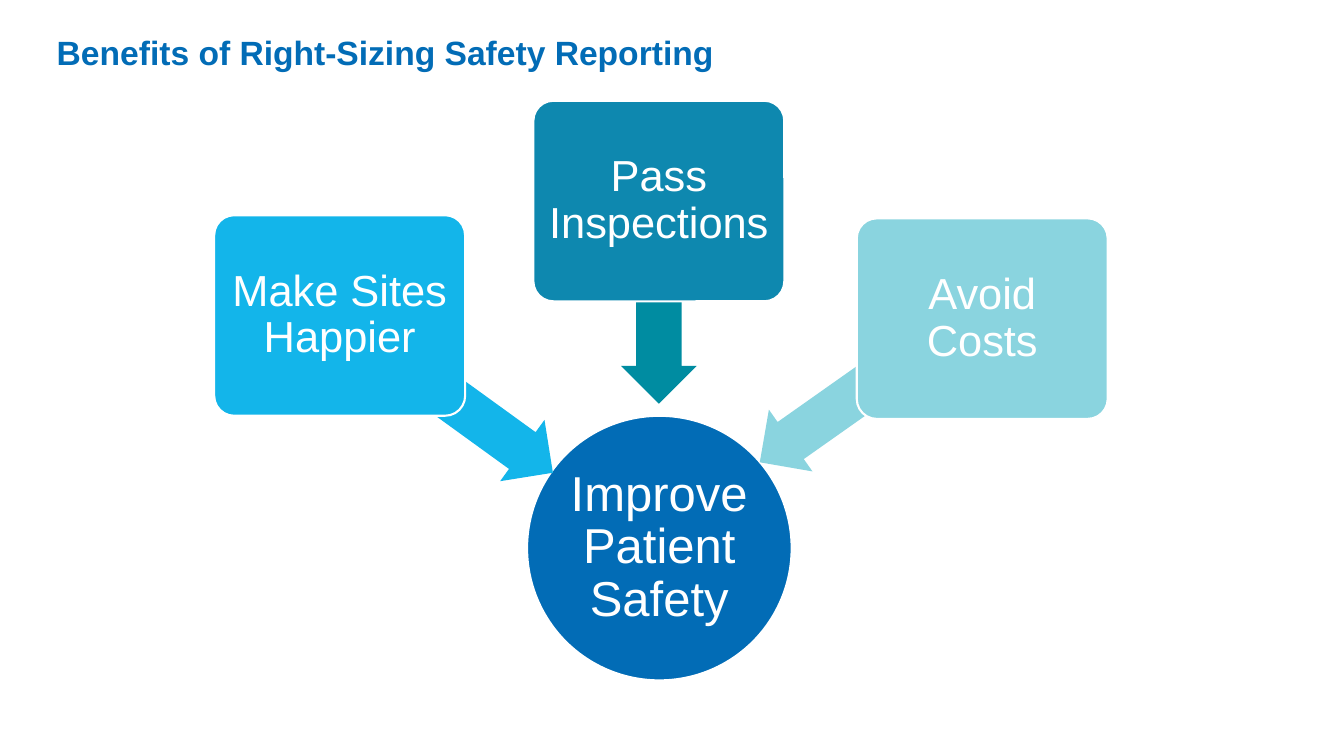
from pptx import Presentation
from pptx.dml.color import RGBColor
from pptx.enum.shapes import MSO_SHAPE
from pptx.enum.text import MSO_ANCHOR, PP_ALIGN
from pptx.util import Pt

EMU_PER_PX = 9525

ELLIPSE = MSO_SHAPE.OVAL
ROUNDED = MSO_SHAPE.ROUNDED_RECTANGLE
LEFT_ARROW = MSO_SHAPE.LEFT_ARROW
LEFT, CENTER = PP_ALIGN.LEFT, PP_ALIGN.CENTER
TOP, MIDDLE = MSO_ANCHOR.TOP, MSO_ANCHOR.MIDDLE

WHITE = RGBColor(0xFF, 0xFF, 0xFF)
BLUE = RGBColor(0x02, 0x6C, 0xB6)
SKY = RGBColor(0x13, 0xB5, 0xEA)
OCEAN = RGBColor(0x0E, 0x88, 0xAF)
TEAL = RGBColor(0x00, 0x8C, 0xA1)
AQUA = RGBColor(0x8A, 0xD4, 0xDF)

BOX_WIDTH, BOX_HEIGHT = 239, 191
ARROW_HEIGHT = 72

# label, box left and top, box colour, arrow left, top and width, rotation, arrow colour
BENEFITS = [
    ("Make Sites Happier", (204, 205), SKY, (313, 345, 236), 215.9, SKY),
    ("Pass Inspections", (508, 96), OCEAN, (531, 252, 193), 270, TEAL),
    ("Avoid Costs", (816, 208), AQUA, (702, 336, 237), 324.8, AQUA),
]


def px(*lengths):
    return [length * EMU_PER_PX for length in lengths]


def write_text(shape, text, *, size, color=WHITE, bold=False,
               align=CENTER, anchor=MIDDLE, inset=(0, 0)):
    """Set one formatted paragraph; inset is (horizontal, vertical) in px."""
    frame = shape.text_frame
    frame.word_wrap = True
    frame.vertical_anchor = anchor
    horizontal, vertical = px(*inset)
    frame.margin_left = frame.margin_right = horizontal
    frame.margin_top = frame.margin_bottom = vertical
    paragraph = frame.paragraphs[0]
    paragraph.alignment = align
    paragraph.line_spacing = 0.9
    run = paragraph.add_run()
    run.text = text
    run.font.name = "Arial"
    run.font.size = Pt(size)
    run.font.bold = bold
    run.font.color.rgb = color


def add_filled_shape(slide, kind, bounds, color, outlined=True):
    shape = slide.shapes.add_shape(kind, *px(*bounds))
    shape.shadow.inherit = False
    shape.fill.solid()
    shape.fill.fore_color.rgb = color
    if outlined:
        shape.line.color.rgb = WHITE
        shape.line.width = Pt(1.5)
    else:
        shape.line.fill.background()
    return shape


def add_title(slide, text):
    title = slide.shapes.add_textbox(*px(54, 30, 907, 44))
    write_text(title, text, size=24, color=BLUE, bold=True,
               align=LEFT, anchor=TOP, inset=(0, 5))


def add_goal(slide, text):
    circle = add_filled_shape(slide, ELLIPSE, (502, 396, 252, 252), BLUE)
    write_text(circle, text, size=35, inset=(2, 2))


def add_arrow(slide, bounds, rotation, color):
    arrow = add_filled_shape(slide, LEFT_ARROW, bounds, color, outlined=False)
    arrow.adjustments[0] = 0.6
    arrow.adjustments[1] = 0.5
    arrow.rotation = rotation


def add_benefit_box(slide, text, position, color):
    box = add_filled_shape(slide, ROUNDED, (*position, BOX_WIDTH, BOX_HEIGHT), color)
    box.adjustments[0] = 0.1
    write_text(box, text, size=31, inset=(6, 6))


def main():
    presentation = Presentation()
    presentation.slide_width, presentation.slide_height = px(1280, 720)
    slide = presentation.slides.add_slide(presentation.slide_layouts[6])

    add_title(slide, "Benefits of Right-Sizing Safety Reporting")
    add_goal(slide, "Improve Patient Safety")
    for label, position, box_color, arrow_place, rotation, arrow_color in BENEFITS:
        add_arrow(slide, (*arrow_place, ARROW_HEIGHT), rotation, arrow_color)
        add_benefit_box(slide, label, position, box_color)

    presentation.save("out.pptx")


if __name__ == "__main__":
    main()
